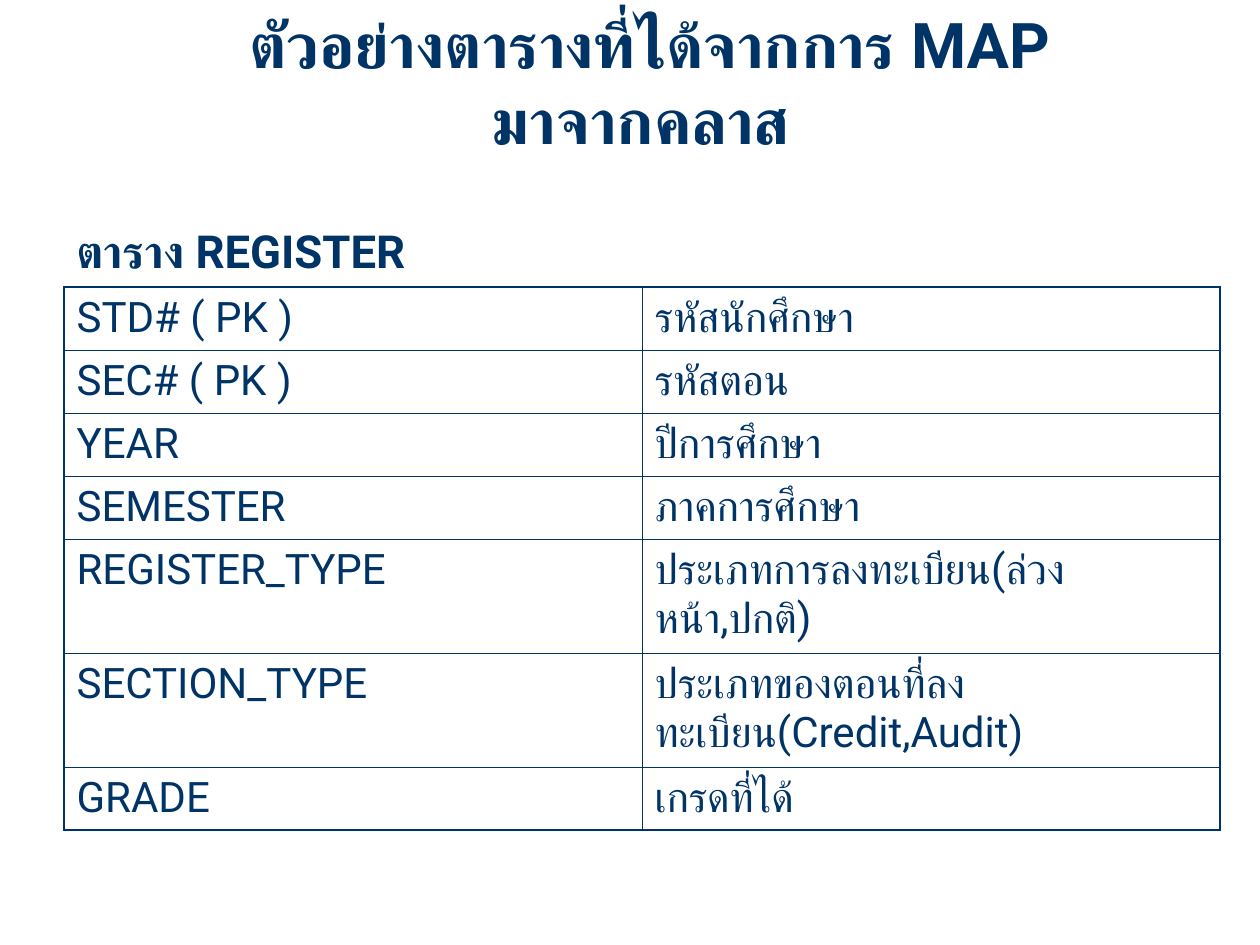
from dataclasses import dataclass

from lxml.etree import SubElement
from pptx import Presentation
from pptx.dml.color import RGBColor
from pptx.enum.text import MSO_ANCHOR, MSO_AUTO_SIZE, PP_ALIGN
from pptx.oxml.ns import qn
from pptx.util import Pt

TITLE = "ตัวอย่างตารางที่ได้จากการ MAP มาจากคลาส "
CAPTION = "ตาราง REGISTER"
FIELDS = [  # column, meaning, row height in px
    ("STD# ( PK )", "รหัสนักศึกษา", 63),
    ("SEC# ( PK )", "รหัสตอน", 63),
    ("YEAR", "ปีการศึกษา", 63),
    ("SEMESTER", "ภาคการศึกษา", 63),
    ("REGISTER_TYPE", "ประเภทการลงทะเบียน(ล่วงหน้า,ปกติ)", 114),
    ("SECTION_TYPE", "ประเภทของตอนที่ลงทะเบียน(Credit,Audit)", 114),
    ("GRADE", "เกรดที่ได้", 63),
]
TITLE_BOX = (213, -1, 873, 164)
CAPTION_BOX = (64, 217, 427, 68)
TABLE_LEFT, TABLE_TOP, TABLE_WIDTH = 64, 287, 1156


@dataclass(frozen=True)
class Theme:
    ink: str = "003366"
    font: str = "Roboto"
    title: int = 36
    caption: int = 26
    cell: int = 24
    outer: float = 1.08
    inner: float = 0.45


THEME = Theme()


def px(n):
    return round(n * 914400 / 126)


def write(tf, text, size, bold=False, align=PP_ALIGN.LEFT):
    tf.word_wrap = True
    p = tf.paragraphs[0]
    p.alignment = align
    r = p.add_run()
    r.text = text
    r.font.name = THEME.font
    r.font.size = Pt(size)
    r.font.bold = bold
    r.font.color.rgb = RGBColor.from_string(THEME.ink)
    # Thai letters take the complex-script typeface
    SubElement(r.font._element, qn("a:cs"), typeface=THEME.font)


def set_borders(cell, outer_sides):
    """Draw all four cell edges; those in outer_sides get the frame width."""
    tcPr = cell._tc.get_or_add_tcPr()
    for i, side in enumerate("LRTB"):
        width = THEME.outer if side in outer_sides else THEME.inner
        ln = tcPr.makeelement(qn(f"a:ln{side}"), {"w": str(Pt(width))})
        fill = SubElement(ln, qn("a:solidFill"))
        SubElement(fill, qn("a:srgbClr"), val=THEME.ink)
        tcPr.insert(i, ln)


def add_fields(s):
    height = sum(h for _, _, h in FIELDS)
    frame = s.shapes.add_table(len(FIELDS), 2, px(TABLE_LEFT), px(TABLE_TOP),
                               px(TABLE_WIDTH), px(height))
    table = frame.table
    table.first_row = table.horz_banding = False
    for col in table.columns:
        col.width = px(TABLE_WIDTH / 2)
    last = len(FIELDS) - 1
    for i, (name, meaning, row_height) in enumerate(FIELDS):
        table.rows[i].height = px(row_height)
        edge = ("T" if i == 0 else "") + ("B" if i == last else "")
        for j, text in enumerate((name, meaning)):
            cell = table.cell(i, j)
            cell.fill.background()
            write(cell.text_frame, text, THEME.cell)
            set_borders(cell, edge + "LR"[j])


def main():
    prs = Presentation()
    prs.slide_width, prs.slide_height = px(1260), px(945)
    s = prs.slides.add_slide(prs.slide_layouts[5])

    title = s.shapes.title
    title.left, title.top, title.width, title.height = map(px, TITLE_BOX)
    title.text_frame.auto_size = MSO_AUTO_SIZE.NONE
    title.text_frame.vertical_anchor = MSO_ANCHOR.MIDDLE
    write(title.text_frame, TITLE, THEME.title, True, PP_ALIGN.CENTER)

    add_fields(s)
    caption = s.shapes.add_textbox(*map(px, CAPTION_BOX))
    write(caption.text_frame, CAPTION, THEME.caption, True)
    prs.save("out.pptx")


if __name__ == "__main__":
    main()
